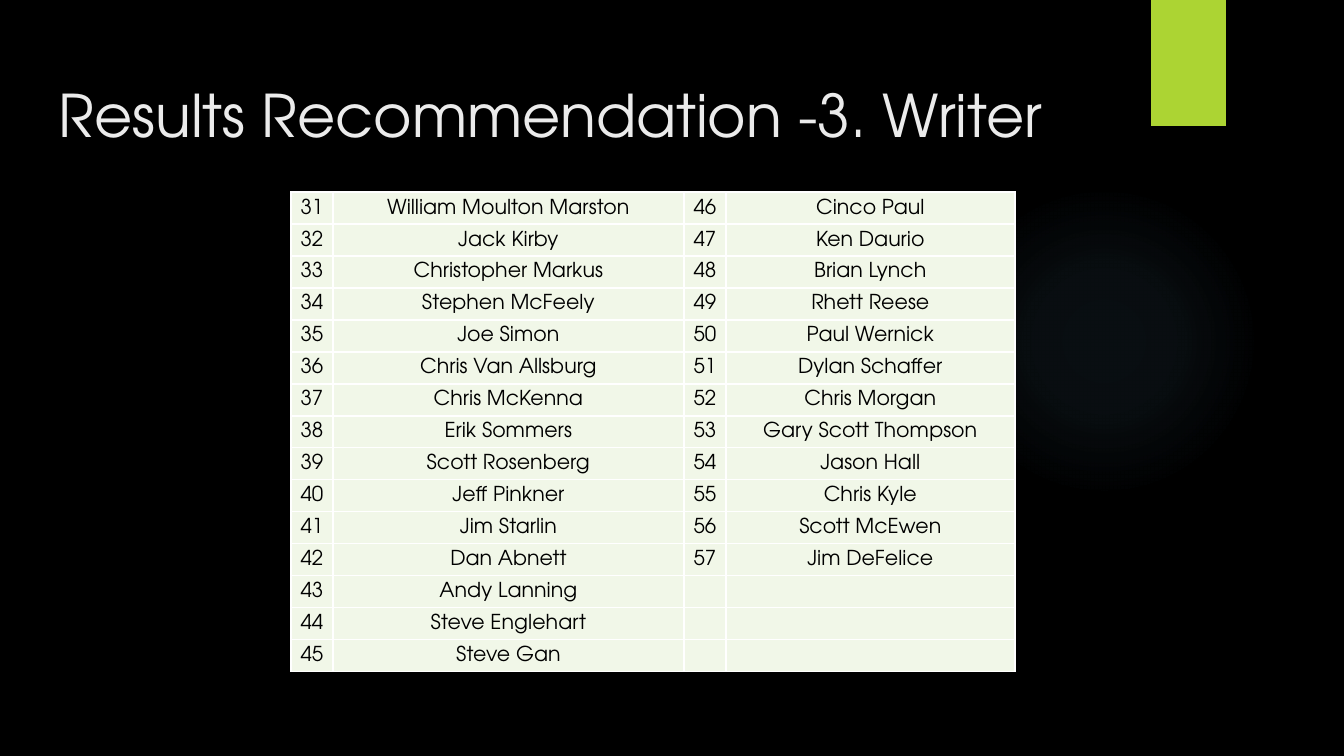
from itertools import zip_longest

from pptx import Presentation
from pptx.dml.color import RGBColor
from pptx.enum.shapes import MSO_SHAPE
from pptx.enum.text import MSO_ANCHOR, MSO_AUTO_SIZE, PP_ALIGN
from pptx.oxml import parse_xml
from pptx.oxml.ns import nsdecls
from pptx.util import Pt

PX = 914400 / 134.4
BLACK = RGBColor(0x00, 0x00, 0x00)
WHITE = RGBColor(0xFF, 0xFF, 0xFF)
TITLE_GREY = RGBColor(0xEB, 0xEB, 0xEB)
LIME = RGBColor(0xAC, 0xD4, 0x33)
PALE_GREEN = RGBColor(0xF1, 0xF7, 0xE8)
GLOW_BLUE = RGBColor(0x7A, 0xC4, 0xF0)

FIRST_RANK = 31
ROWS = 15
COLUMN_WIDTHS = [42, 351, 42, 289]
ROW_HEIGHT = 32
WRITERS = [
    "William Moulton Marston", "Jack Kirby", "Christopher Markus",
    "Stephen McFeely", "Joe Simon", "Chris Van Allsburg", "Chris McKenna",
    "Erik Sommers", "Scott Rosenberg", "Jeff Pinkner", "Jim Starlin",
    "Dan Abnett", "Andy Lanning", "Steve Englehart", "Steve Gan",
    "Cinco Paul", "Ken Daurio", "Brian Lynch", "Rhett Reese", "Paul Wernick",
    "Dylan Schaffer", "Chris Morgan", "Gary Scott Thompson", "Jason Hall",
    "Chris Kyle", "Scott McEwen", "Jim DeFelice",
]


def px(*lengths):
    return [round(length * PX) for length in lengths]


class Deck:
    font = "TeX Gyre Adventor"
    cell_size = 11

    def __init__(self, width, height):
        self.presentation = Presentation()
        self.presentation.slide_width, self.presentation.slide_height = px(width, height)
        self.slide = self.presentation.slides.add_slide(self.presentation.slide_layouts[5])
        background = self.slide.background.fill
        background.solid()
        background.fore_color.rgb = BLACK

    def style(self, font, size, color):
        font.name = self.font
        font.size = Pt(size)
        font.color.rgb = color

    def shape(self, kind, box, color):
        shape = self.slide.shapes.add_shape(kind, *px(*box))
        shape.shadow.inherit = False
        shape.line.fill.background()
        shape.fill.solid()
        shape.fill.fore_color.rgb = color
        return shape

    def glow(self, box, color, stops):
        """Draw an ellipse fading outwards; stops are (position, opacity) in percent."""
        properties = self.shape(MSO_SHAPE.OVAL, box, color).fill._xPr
        stop_list = "".join(
            f'<a:gs pos="{position * 1000}"><a:srgbClr val="{color}">'
            f'<a:alpha val="{opacity * 1000}"/></a:srgbClr></a:gs>'
            for position, opacity in stops
        )
        gradient = parse_xml(
            f'<a:gradFill {nsdecls("a")} rotWithShape="1"><a:gsLst>{stop_list}</a:gsLst>'
            '<a:path path="circle"><a:fillToRect l="50000" t="50000" r="50000" b="50000"/>'
            "</a:path></a:gradFill>"
        )
        solid = properties.find("{*}solidFill")
        properties.replace(solid, gradient)

    def tab(self, box, color):
        """Draw a plain rectangle with a soft shadow below it."""
        properties = self.shape(MSO_SHAPE.RECTANGLE, box, color)._element.spPr
        properties.find("{*}effectLst").append(parse_xml(
            f'<a:outerShdw {nsdecls("a")} blurRad="{Pt(3)}" dist="{Pt(2)}" dir="5400000" '
            f'rotWithShape="0"><a:srgbClr val="{BLACK}"><a:alpha val="45000"/>'
            "</a:srgbClr></a:outerShdw>"
        ))

    def title(self, text, box, size):
        title = self.slide.shapes.title
        title.left, title.top, title.width, title.height = px(*box)
        frame = title.text_frame
        frame.text = text
        frame.word_wrap = True
        frame.auto_size = MSO_AUTO_SIZE.NONE
        frame.vertical_anchor = MSO_ANCHOR.TOP
        frame.margin_left, frame.margin_right, frame.margin_top, frame.margin_bottom = px(13, 13, 13, 13)
        paragraph = frame.paragraphs[0]
        paragraph.alignment = PP_ALIGN.LEFT
        self.style(paragraph.runs[0].font, size, TITLE_GREY)

    def table(self, left, top, widths, row_height, rows):
        table = self.slide.shapes.add_table(
            len(rows), len(widths), *px(left, top, sum(widths), row_height * len(rows))
        ).table
        table.first_row = table.horz_banding = False
        for column, width in zip(table.columns, px(*widths)):
            column.width = width
        for row, texts in zip(table.rows, rows):
            row.height = px(row_height)[0]
            for cell, text in zip(row.cells, texts):
                self.cell(cell, text)

    def cell(self, cell, text):
        cell.text = text
        cell.vertical_anchor = MSO_ANCHOR.MIDDLE
        cell.margin_left, cell.margin_right, cell.margin_top, cell.margin_bottom = px(1, 1, 1, 0)
        paragraph = cell.text_frame.paragraphs[0]
        paragraph.alignment = PP_ALIGN.CENTER
        for run in paragraph.runs:
            self.style(run.font, self.cell_size, BLACK)
        if not text:
            # Keeps an empty cell from stretching its row.
            paragraph._p.append(parse_xml(
                f'<a:endParaRPr {nsdecls("a")} sz="{self.cell_size * 100}"/>'
            ))
        properties = cell._tc.get_or_add_tcPr()
        for side in ("lnL", "lnR", "lnT", "lnB"):
            properties.append(parse_xml(
                f'<a:{side} {nsdecls("a")} w="{Pt(1)}"><a:solidFill>'
                f'<a:srgbClr val="{WHITE}"/></a:solidFill></a:{side}>'
            ))
        cell.fill.solid()
        cell.fill.fore_color.rgb = PALE_GREEN


def ranking_rows():
    """Pair the ranked writers side by side, the second half padded with empty cells."""
    ranked = [(str(rank), name) for rank, name in enumerate(WRITERS, FIRST_RANK)]
    return [
        first + second
        for first, second in zip_longest(ranked[:ROWS], ranked[ROWS:], fillvalue=("", ""))
    ]


def main():
    deck = Deck(1344, 756)
    deck.glow((949, 186, 310, 310), GLOW_BLUE, [(0, 7), (36, 6), (69, 0)])
    deck.tab((1151, 0, 75, 126), LIME)
    deck.title("Results Recommendation -3. Writer", (46, 66, 1253, 85), 31.5)
    deck.table(291, 192, COLUMN_WIDTHS, ROW_HEIGHT, ranking_rows())
    deck.presentation.save("out.pptx")


if __name__ == "__main__":
    main()
